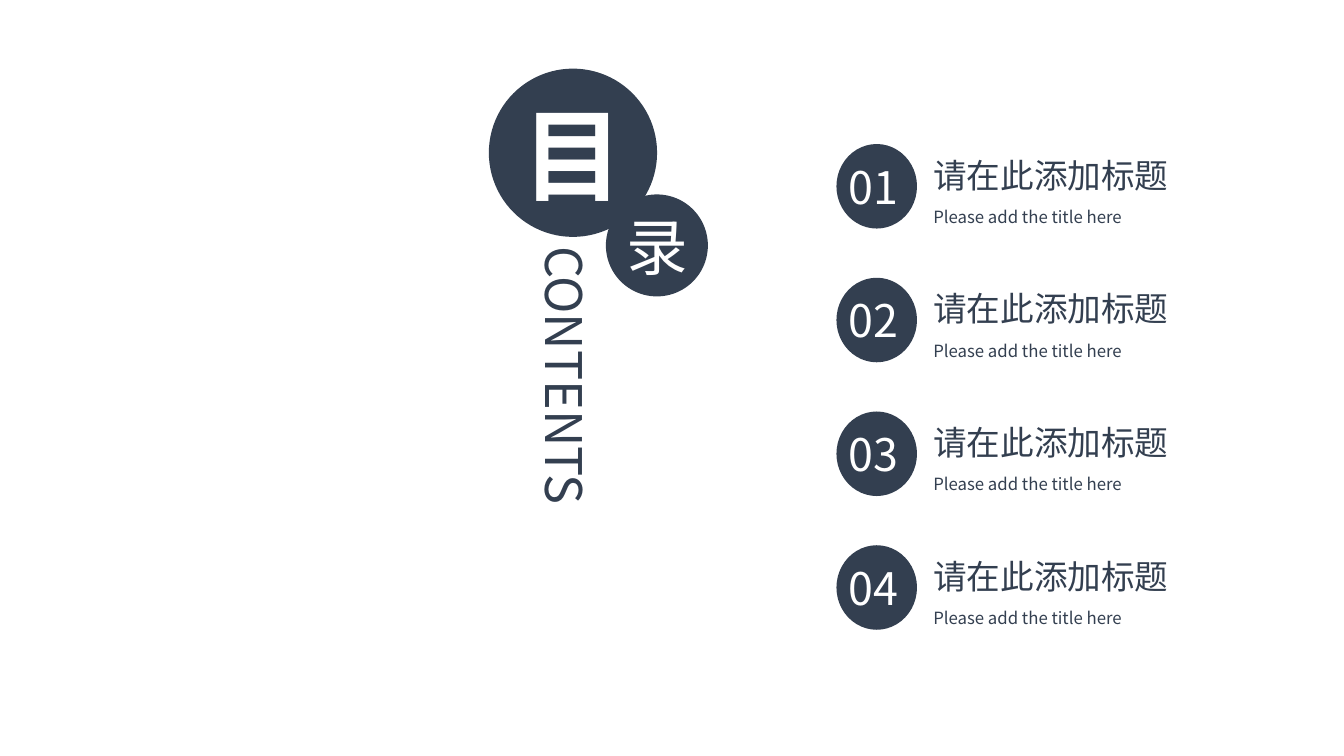
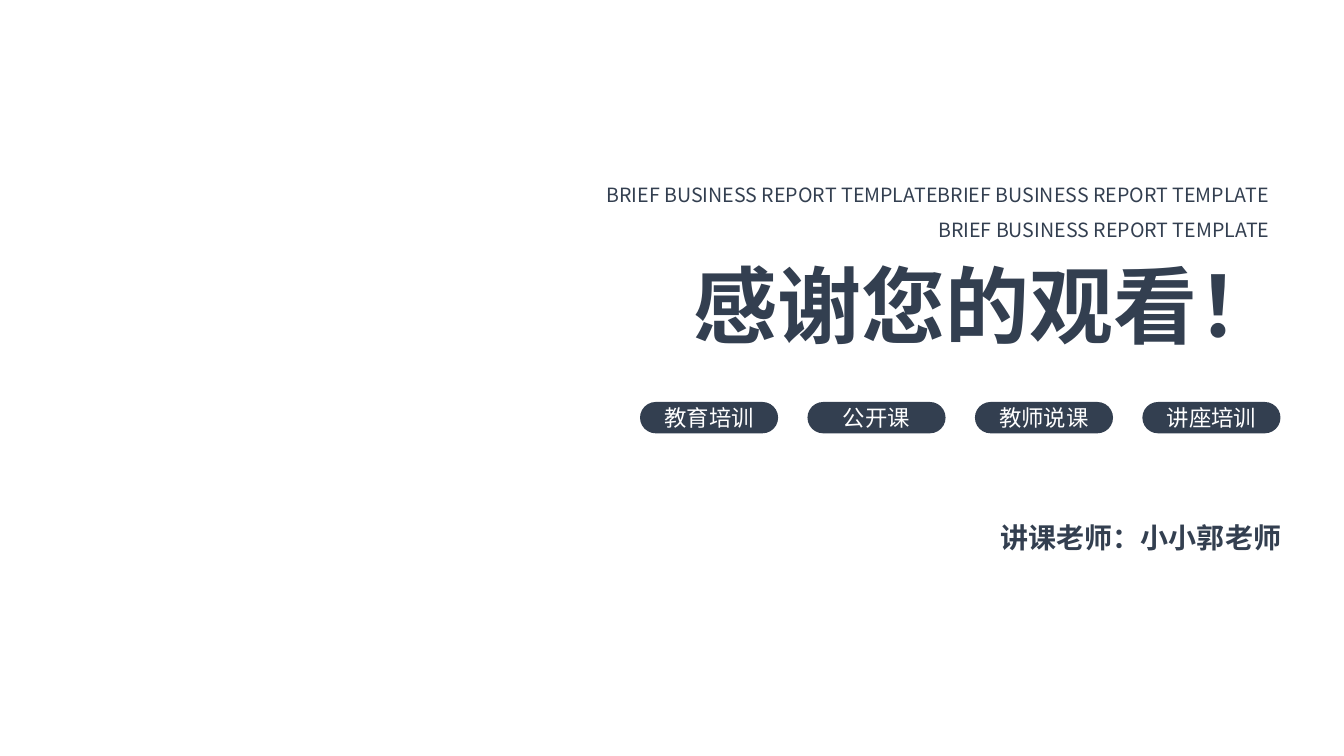
from pptx import Presentation
from pptx.dml.color import RGBColor
from pptx.enum.shapes import MSO_SHAPE as SHAPE
from pptx.enum.text import MSO_ANCHOR as ANCHOR, MSO_AUTO_SIZE as AUTO, PP_ALIGN as ALIGN
from pptx.oxml.ns import qn
from pptx.util import Cm, Pt
from lxml import etree

FONT = "Noto Sans CJK SC"
NAVY = "333F50"
WHITE = "FFFFFF"


def rgb(value):
    return RGBColor.from_string(value)


def add_text(shapes, text, x, y, w, h, size=12, color=NAVY, bold=False, align=ALIGN.LEFT,
             kind=None, wrap=True, inset=True, spacing=None):
    """Add a text box, or a navy shape of the given kind, holding the text."""
    at = Cm(x), Cm(y), Cm(w), Cm(h)
    sp = shapes.add_textbox(*at) if kind is None else shapes.add_shape(kind, *at)
    tf = sp.text_frame
    tf.word_wrap = wrap
    if kind is None:
        tf.auto_size = AUTO.SHAPE_TO_FIT_TEXT
    else:
        sp.shadow.inherit = False
        sp.fill.solid()
        sp.fill.fore_color.rgb = rgb(NAVY)
        sp.line.fill.background()
        tf.vertical_anchor = ANCHOR.MIDDLE
    if not inset:
        tf.margin_left = tf.margin_top = tf.margin_right = tf.margin_bottom = 0
    tf.text = text
    for p in tf.paragraphs:
        p.alignment = align
        p.line_spacing = spacing
        for r in p.runs:
            r.font.size = Pt(size)
            r.font.bold = bold
            r.font.name = FONT
            r.font.color.rgb = rgb(color)
            etree.SubElement(r.font._element, qn("a:ea")).set("typeface", FONT)
    return sp


prs = Presentation()
prs.slide_width, prs.slide_height = Cm(33.87), Cm(19.05)
blank = prs.slide_layouts[6]

# Contents slide: numbered entries
s = prs.slides.add_slide(blank)
for i in range(4):
    y = 3.63 + i * 3.37
    add_text(s.shapes, "", 21.08, y, 2.03, 2.13, kind=SHAPE.OVAL)
    add_text(s.shapes, f"{i + 1:02}", 21.13, y + 0.26, 1.85, 1.63, size=32, color=WHITE, wrap=False)
    add_text(s.shapes, "请在此添加标题", 23.27, y + 0.14, 6.83, 1.27, size=24)
    add_text(s.shapes, "Please add the title here", 23.27, y + 1.45, 5.44, 0.76, wrap=False)

# Contents slide: heading circles and vertical word
for text, x, y, d, size, bold in [("目", 12.32, 1.73, 4.24, 72, True),
                                  ("录", 15.27, 4.9, 2.57, 44, False)]:
    add_text(s.shapes, text, x, y, d, d, size=size, color=WHITE, bold=bold,
             align=ALIGN.CENTER, kind=SHAPE.OVAL, inset=False)
sp = add_text(s.shapes, "CONTENTS", 13.41, 6.2, 1.7, 7.62, size=36, inset=False)
tf = sp.text_frame
tf.auto_size = AUTO.NONE
tf.vertical_anchor = ANCHOR.MIDDLE
tf._txBody.bodyPr.set("vert", "eaVert")

# Closing slide: thanks
s = prs.slides.add_slide(blank)
add_text(s.shapes, "感谢您的观看！", 17.07, 6.27, 15.47, 2.82, size=60, bold=True,
         align=ALIGN.RIGHT, wrap=False)

# Closing slide: topic pills
group = s.shapes.add_group_shape()
for i, topic in enumerate(["教育培训", "公开课", "教师说课", "讲座培训"]):
    pill = add_text(group.shapes, topic, 16.13 + i * 4.22, 10.13, 3.48, 0.79, size=16,
                    color=WHITE, align=ALIGN.CENTER, kind=SHAPE.ROUNDED_RECTANGLE)
    pill.adjustments[0] = 0.5

# Closing slide: teacher and tagline
add_text(s.shapes, "讲课老师：小小郭老师", 24.89, 13, 7.65, 1.12, size=20, bold=True,
         align=ALIGN.RIGHT, wrap=False)
tagline = "BRIEF BUSINESS REPORT TEMPLATE"
add_text(s.shapes, f"{tagline * 2}\n{tagline}", 14.6, 4.19, 17.65, 2.06, size=14,
         align=ALIGN.RIGHT, spacing=1.5)

prs.save("out.pptx")
